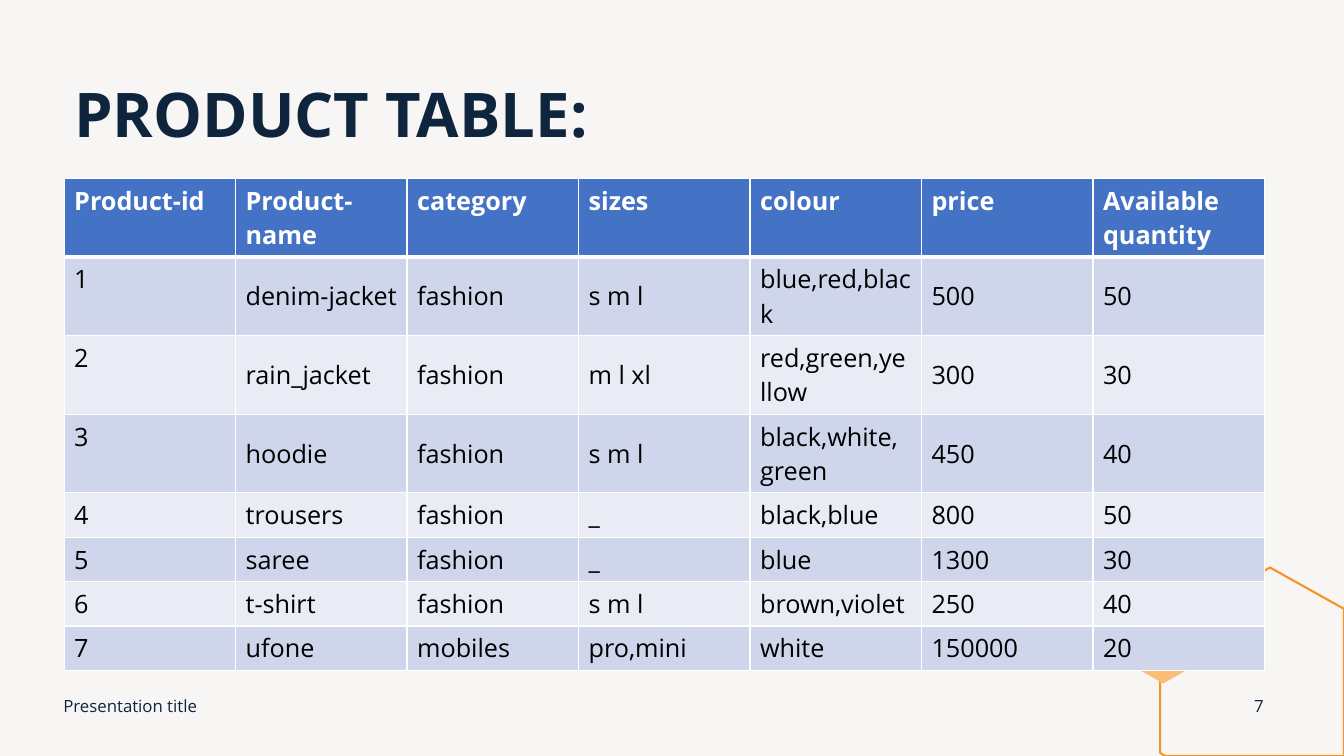
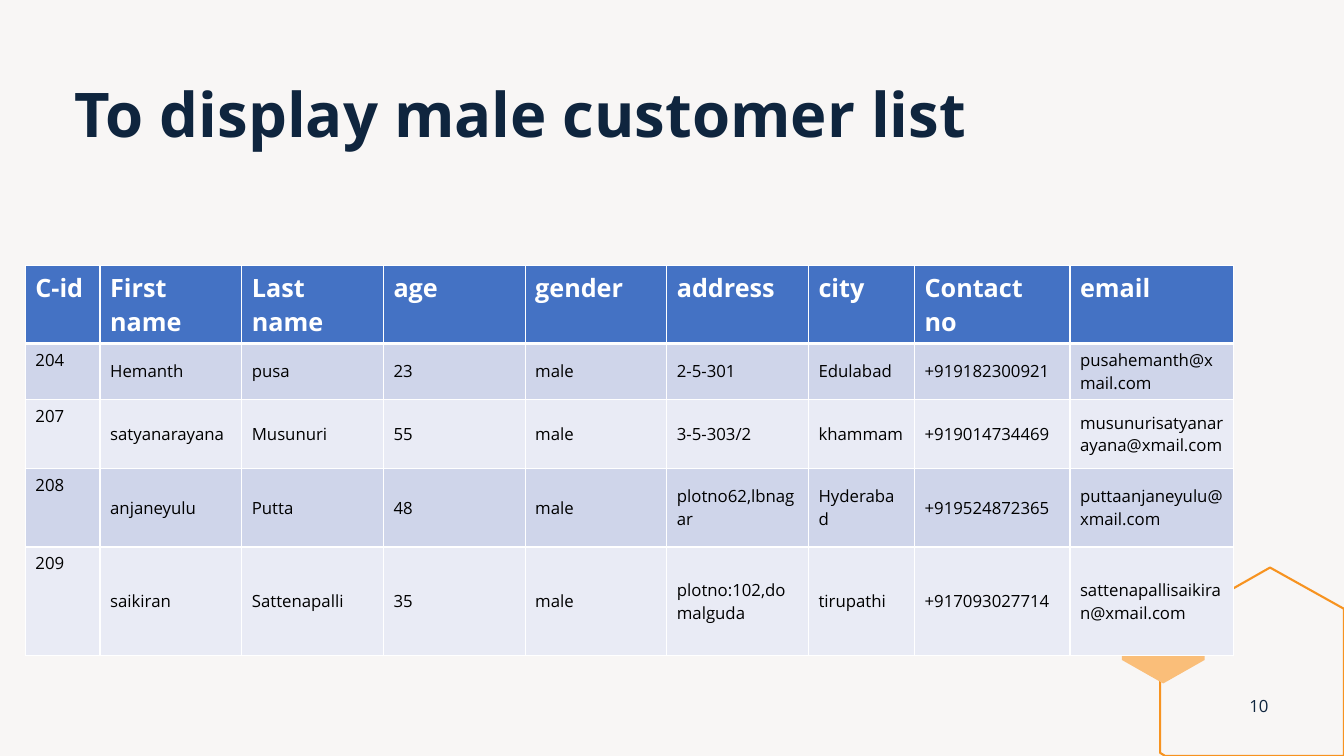
from dataclasses import dataclass
from typing import Optional

from lxml import etree
from pptx import Presentation
from pptx import util as u
from pptx.dml import color
from pptx.enum import text
from pptx.oxml import ns

FONT = "Open Sans"
PAPER, NAVY, WHITE, BLACK = "F8F6F5", "0F253E", "FFFFFF", "000000"
SAND, ORANGE, PEACH = "DCD3CC", "F79320", "FABE79"
HEADER_BLUE = "4472C4"
BANDS = ("CFD5EA", "E9EBF5")
PAGE_WIDTH, PAGE_HEIGHT = 960, 540
HEADER_SIZE = 18
THIN, THICK = 1, 3
FOOTER_TOP, FOOTER_HEIGHT, FOOTER_SIZE = 489.6, 28.8, 12


@dataclass(frozen=True)
class Outline:
    points: tuple[tuple[float, float], ...]
    fill: Optional[str] = None
    line: Optional[str] = None


@dataclass(frozen=True)
class Label:
    left: float
    top: float
    width: float
    height: float
    size: float
    bold: bool = False
    spacing: Optional[float] = None
    align: text.PP_ALIGN = text.PP_ALIGN.LEFT
    anchor: text.MSO_ANCHOR = text.MSO_ANCHOR.MIDDLE


@dataclass(frozen=True)
class Grid:
    left: float
    top: float
    widths: tuple[float, ...]
    heights: tuple[float, ...]
    body_size: float
    rows: tuple[tuple[str, ...], ...]


@dataclass(frozen=True)
class Content:
    title: str
    number: str
    grid: Grid
    footer: Optional[str] = None


def rgb(value: str) -> color.RGBColor:
    return color.RGBColor.from_string(value)


def hexagon(left: float, top: float, width: float, height: float, fill: str) -> Outline:
    middle, right, bottom = left + width / 2, left + width, top + height
    shoulder = height / 4
    return Outline((
        (middle, top), (right, top + shoulder), (right, bottom - shoulder),
        (middle, bottom), (left, bottom - shoulder), (left, top + shoulder),
    ), fill=fill)


DECORATIONS = (
    hexagon(830.9, 367.2, 47.5, 54, SAND),
    Outline((
        (907.2, 405.4), (PAGE_WIDTH, 434.9), (PAGE_WIDTH, PAGE_HEIGHT),
        (832.3, PAGE_HEIGHT), (828.7, 537.8), (828.7, 450),
    ), line=ORANGE),
    hexagon(801.4, 421.2, 59, 67, PEACH),
)
TITLE = Label(46, 57, 857.5, 111.5, 44, bold=True, spacing=0.9,
              anchor=text.MSO_ANCHOR.TOP)
FOOTER = Label(38.2, FOOTER_TOP, 324, FOOTER_HEIGHT, FOOTER_SIZE)
NUMBER = Label(881.3, FOOTER_TOP, 36, FOOTER_HEIGHT, FOOTER_SIZE,
               align=text.PP_ALIGN.CENTER)


def draw_outline(page, outline: Outline) -> None:
    first, *others = [(u.Pt(x), u.Pt(y)) for x, y in outline.points]
    builder = page.shapes.build_freeform(*first)
    builder.add_line_segments(others, close=True)
    shape = builder.convert_to_shape()
    shape.shadow.inherit = False
    if outline.fill:
        shape.fill.solid()
        shape.fill.fore_color.rgb = rgb(outline.fill)
    else:
        shape.fill.background()
    if outline.line:
        shape.line.color.rgb = rgb(outline.line)
        shape.line.width = u.Pt(1.5)
    else:
        shape.line.fill.background()


def write(frame, words: str, size: float, ink: str, bold: bool) -> None:
    frame.text = words
    for para in frame.paragraphs:
        for span in para.runs:
            span.font.name = FONT
            span.font.size = u.Pt(size)
            span.font.bold = bold
            span.font.color.rgb = rgb(ink)


def draw_label(page, label: Label, words: str) -> None:
    box = page.shapes.add_textbox(u.Pt(label.left), u.Pt(label.top),
                                  u.Pt(label.width), u.Pt(label.height))
    frame = box.text_frame
    frame.word_wrap = True
    frame.vertical_anchor = label.anchor
    write(frame, words, label.size, NAVY, label.bold)
    para = frame.paragraphs[0]
    para.alignment = label.align
    if label.spacing:
        para.line_spacing = label.spacing


def set_borders(cell, top: float, bottom: float) -> None:
    properties = cell._tc.get_or_add_tcPr()
    for side, width in (("L", THIN), ("R", THIN), ("T", top), ("B", bottom)):
        edge = etree.SubElement(properties, ns.qn(f"a:ln{side}"), w=str(u.Pt(width)))
        fill = etree.SubElement(edge, ns.qn("a:solidFill"))
        etree.SubElement(fill, ns.qn("a:srgbClr"), val=WHITE)


def draw_grid(page, grid: Grid) -> None:
    table = page.shapes.add_table(
        len(grid.rows), len(grid.widths), u.Pt(grid.left), u.Pt(grid.top),
        u.Pt(sum(grid.widths)), u.Pt(sum(grid.heights))).table
    for column, width in zip(table.columns, grid.widths):
        column.width = u.Pt(width)
    for row, height in zip(table.rows, grid.heights):
        row.height = u.Pt(height)
    for row_index, values in enumerate(grid.rows):
        header = row_index == 0
        for column_index, value in enumerate(values):
            cell = table.cell(row_index, column_index)
            set_borders(cell, THICK if row_index == 1 else THIN,
                        THICK if header else THIN)
            cell.fill.solid()
            cell.fill.fore_color.rgb = rgb(
                HEADER_BLUE if header else BANDS[(row_index - 1) % 2])
            cell.vertical_anchor = (
                text.MSO_ANCHOR.TOP if header or column_index == 0
                else text.MSO_ANCHOR.MIDDLE)
            write(cell.text_frame, value,
                  HEADER_SIZE if header else grid.body_size,
                  WHITE if header else BLACK, header)


def draw_page(deck, content: Content) -> None:
    page = deck.slides.add_slide(deck.slide_layouts[6])
    for outline in DECORATIONS:
        draw_outline(page, outline)
    draw_label(page, TITLE, content.title)
    draw_grid(page, content.grid)
    if content.footer:
        draw_label(page, FOOTER, content.footer)
    draw_label(page, NUMBER, content.number)


PRODUCTS = Grid(45.8, 127.3, (122.5,) * 7, (56.2,) * 4 + (31.7,) * 4, 18, (
    ("Product-id", "Product-name", "category", "sizes", "colour", "price",
     "Available quantity"),
    ("1", "denim-jacket", "fashion", "s m l", "blue,red,black", "500", "50"),
    ("2", "rain_jacket", "fashion", "m l xl", "red,green,yellow", "300", "30"),
    ("3", "hoodie", "fashion", "s m l", "black,white,green", "450", "40"),
    ("4", "trousers", "fashion", "_", "black,blue", "800", "50"),
    ("5", "saree", "fashion", "_", "blue", "1300", "30"),
    ("6", "t-shirt", "fashion", "s m l", "brown,violet", "250", "40"),
    ("7", "ufone", "mobiles", "pro,mini", "white", "150000", "20"),
))
CUSTOMERS = Grid(
    18.1, 189.4, (53.4, *(101.2,) * 5, 75.8, 111, 117),
    (56, 39.7, 49.7, 55.9, 77.5), 12, (
        ("C-id", "First name", "Last name", "age", "gender", "address", "city",
         "Contact no", "email"),
        ("204", "Hemanth", "pusa", "23", "male", "2-5-301", "Edulabad",
         "+919182300921", "pusahemanth@xmail.com"),
        ("207", "satyanarayana", "Musunuri", "55", "male", "3-5-303/2", "khammam",
         "+919014734469", "musunurisatyanarayana@xmail.com"),
        ("208", "anjaneyulu", "Putta", "48", "male", "plotno62,lbnagar", "Hyderabad",
         "+919524872365", "puttaanjaneyulu@xmail.com"),
        ("209", "saikiran", "Sattenapalli", "35", "male", "plotno:102,domalguda",
         "tirupathi", "+917093027714", "sattenapallisaikiran@xmail.com"),
    ))
CONTENTS = (
    Content("PRODUCT TABLE:", "7", PRODUCTS, footer="Presentation title"),
    Content("To display male customer list", "10", CUSTOMERS),
)


def main() -> None:
    deck = Presentation()
    deck.slide_width, deck.slide_height = u.Pt(PAGE_WIDTH), u.Pt(PAGE_HEIGHT)
    backdrop = deck.slide_master.background.fill
    backdrop.solid()
    backdrop.fore_color.rgb = rgb(PAPER)
    for content in CONTENTS:
        draw_page(deck, content)
    deck.save("out.pptx")


main()
